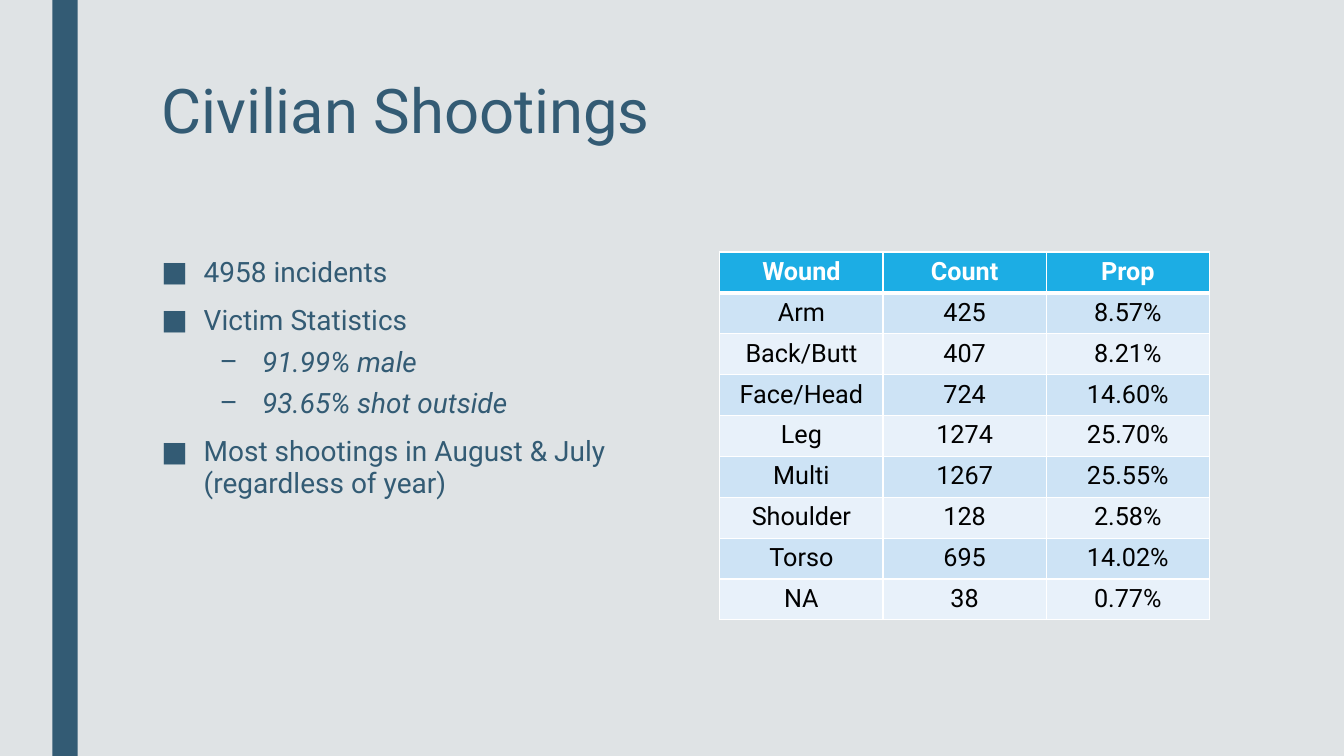
from dataclasses import dataclass

from lxml import etree
from pptx import Presentation
from pptx import util as u
from pptx.dml.color import RGBColor
from pptx.enum import shapes, text
from pptx.oxml.ns import qn


@dataclass(frozen=True)
class Theme:
    font: str = "Roboto"
    background: str = "DFE3E5"
    ink: str = "335B74"
    header: str = "1CADE4"
    bands: tuple = ("CDE3F5", "E8F1FA")
    cell_ink: str = "000000"
    white: str = "FFFFFF"
    title_size: int = 44
    body_size: int = 20
    table_size: int = 18


@dataclass(frozen=True)
class Level:
    bullet: str
    margin: float
    space_before: int
    italic: bool


THEME = Theme()
LEVELS = (Level("■", 1.07, 10, False), Level("–", 2.54, 5, True))
HANGING = 1.07

FINDINGS = (
    (0, "4958 incidents"),
    (0, "Victim Statistics"),
    (1, "91.99% male"),
    (1, "93.65% shot outside"),
    (0, "Most shootings in August & July (regardless of year)"),
)

WOUNDS = (
    ("Wound", "Count", "Prop"),
    ("Arm", "425", "8.57%"),
    ("Back/Butt", "407", "8.21%"),
    ("Face/Head", "724", "14.60%"),
    ("Leg", "1274", "25.70%"),
    ("Multi", "1267", "25.55%"),
    ("Shoulder", "128", "2.58%"),
    ("Torso", "695", "14.02%"),
    ("NA", "38", "0.77%"),
)


def rgb(value):
    return RGBColor.from_string(value)


def style_runs(p, size, color, bold=False, italic=False):
    for r in p.runs:
        r.font.name = THEME.font
        r.font.size = u.Pt(size)
        r.font.color.rgb = rgb(color)
        r.font.bold = bold
        r.font.italic = italic


def place(sp, box):
    sp.left, sp.top, sp.width, sp.height = (u.Cm(v) for v in box)


def prepare_frame(sp):
    tf = sp.text_frame
    tf.word_wrap = True
    tf.auto_size = text.MSO_AUTO_SIZE.NONE
    tf.vertical_anchor = text.MSO_ANCHOR.TOP
    return tf


def set_bullet(p, level):
    pPr = p._p.get_or_add_pPr()
    pPr.set("marL", str(u.Cm(level.margin)))
    pPr.set("indent", str(-u.Cm(HANGING)))
    etree.SubElement(pPr, qn("a:buFont"), typeface=THEME.font)
    etree.SubElement(pPr, qn("a:buChar"), char=level.bullet)


def set_borders(cell, bottom_width):
    tcPr = cell._tc.get_or_add_tcPr()
    widths = (("lnL", 1), ("lnR", 1), ("lnT", 1), ("lnB", bottom_width))
    for i, (side, width) in enumerate(widths):
        ln = etree.Element(qn(f"a:{side}"), w=str(u.Pt(width)))
        fill = etree.SubElement(ln, qn("a:solidFill"))
        etree.SubElement(fill, qn("a:srgbClr"), val=THEME.white)
        tcPr.insert(i, ln)


def add_side_bar(s, box):
    sp = s.shapes.add_shape(shapes.MSO_SHAPE.RECTANGLE, *(u.Cm(v) for v in box))
    sp.shadow.inherit = False
    sp.fill.solid()
    sp.fill.fore_color.rgb = rgb(THEME.ink)
    sp.line.fill.background()


def add_title(s, box, title):
    sp = s.shapes.title
    place(sp, box)
    tf = prepare_frame(sp)
    tf.text = title
    p = tf.paragraphs[0]
    p.alignment = text.PP_ALIGN.LEFT
    p.line_spacing = 0.89
    style_runs(p, THEME.title_size, THEME.ink)


def add_findings(s, box, findings):
    sp = s.placeholders[1]
    place(sp, box)
    tf = prepare_frame(sp)
    for i, (depth, line) in enumerate(findings):
        p = tf.add_paragraph() if i else tf.paragraphs[0]
        level = LEVELS[depth]
        p.text = line
        p.level = depth
        p.line_spacing = 0.94
        p.space_before = u.Pt(level.space_before)
        p.space_after = u.Pt(2)
        set_bullet(p, level)
        style_runs(p, THEME.body_size, THEME.ink, italic=level.italic)


def add_wound_table(s, box, rows):
    frame = s.shapes.add_table(len(rows), len(rows[0]), *(u.Cm(v) for v in box))
    table = frame.table
    for column in table.columns:
        column.width = u.Cm(box[2] / len(rows[0]))
    for i, values in enumerate(rows):
        table.rows[i].height = u.Cm(box[3] / len(rows))
        is_header = i == 0
        fill = THEME.header if is_header else THEME.bands[(i - 1) % 2]
        color = THEME.white if is_header else THEME.cell_ink
        for j, value in enumerate(values):
            cell = table.cell(i, j)
            cell.fill.solid()
            cell.fill.fore_color.rgb = rgb(fill)
            set_borders(cell, 3 if is_header else 1)
            if i == 1:
                cell._tc.tcPr.find(qn("a:lnT")).set("w", str(u.Pt(3)))
            cell.text_frame.text = value
            p = cell.text_frame.paragraphs[0]
            p.alignment = text.PP_ALIGN.CENTER
            style_runs(p, THEME.table_size, color, bold=is_header)


def add_shootings_slide(prs, box):
    s = prs.slides.add_slide(prs.slide_layouts[1])
    s.background.fill.solid()
    s.background.fill.fore_color.rgb = rgb(THEME.background)
    left, top, width, height = box
    margin, content_top, column = 3.81, top + 6.35, 12.34
    content_width = width - margin - 3.39
    content_left = left + margin
    table_left = content_left + content_width - column
    add_side_bar(s, (left + 1.32, top, 0.64, height))
    add_title(s, (content_left, top + 1.9, content_width, 4.11), "Civilian Shootings")
    add_findings(s, (content_left, content_top, column, 9.96), FINDINGS)
    add_wound_table(s, (table_left, content_top, column, 9.27), WOUNDS)


def main():
    prs = Presentation()
    width, height = 33.87, 19.05
    prs.slide_width, prs.slide_height = u.Cm(width), u.Cm(height)
    add_shootings_slide(prs, (0, 0, width, height))
    prs.save("out.pptx")


if __name__ == "__main__":
    main()
